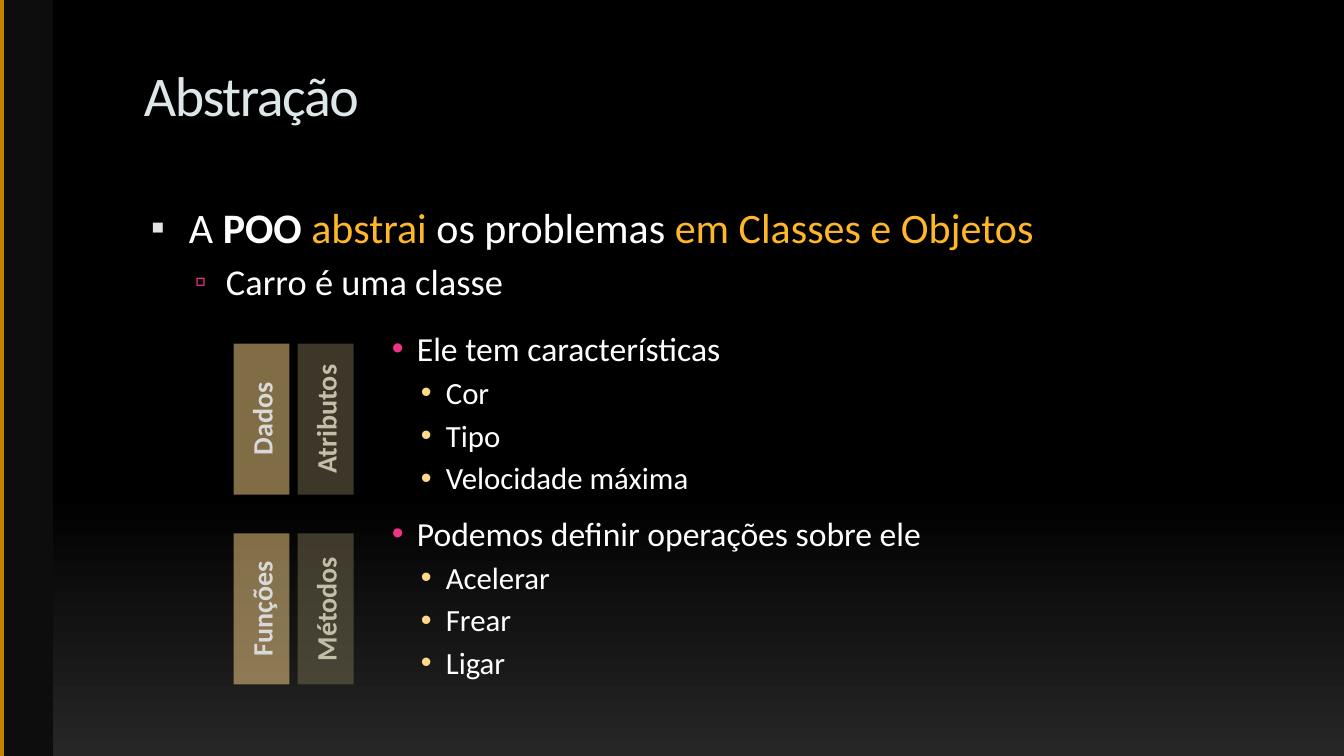
from dataclasses import dataclass

from lxml.etree import SubElement
from pptx import Presentation
from pptx.dml.color import RGBColor
from pptx.enum.shapes import MSO_CONNECTOR, MSO_SHAPE
from pptx.enum.text import MSO_ANCHOR, PP_ALIGN
from pptx.oxml.ns import qn
from pptx.util import Pt

WIDTH, HEIGHT = 1344, 756
SCALE = 12192000 / WIDTH


@dataclass(frozen=True)
class Theme:
    """Colours, font and type sizes of the slide."""
    font: str = "Calibri"
    black: str = "000000"
    glow: str = "262626"
    strip: str = "0D0D0D"
    edge: str = "C58300"
    title: str = "DDE6E8"
    text: str = "FFFFFF"
    accent: str = "FFB728"
    square: str = "E0E4E5"
    pink: str = "F03288"
    sand: str = "FFD88B"
    olive: str = "786F51"
    sand_text: str = "D9D9D9"
    olive_text: str = "C4BEA9"
    title_size: int = 40
    lead_size: int = 30
    class_size: int = 26
    topic_size: int = 24
    item_size: int = 22
    label_size: int = 20


@dataclass(frozen=True)
class Bullet:
    """Level, left margin, hanging indent, sign and spacing of a list line."""
    level: int
    margin: int
    hang: int
    sign: str
    color: str
    percent: int
    size: int
    before: int


def emu(px):
    """Turn px into EMU."""
    return round(px * SCALE)


class SlideBuilder:
    """Draws styled elements on the current slide."""

    def __init__(self, page, theme):
        """Keep the slide and its style."""
        self.page, self.theme = page, theme

    def background(self):
        """Fill the slide with a gradient that lightens at the foot."""
        fill = self.page.background.fill
        fill.gradient()
        fill.gradient_angle = 270
        shades = ((0.65, self.theme.black), (1.0, self.theme.glow))
        for stop, (position, color) in zip(fill.gradient_stops, shades):
            stop.position = position
            stop.color.rgb = RGBColor.from_string(color)

    def block(self, kind, left, top, width, height, color):
        """Add a filled shape without outline."""
        shape = self.page.shapes.add_shape(kind, *map(emu, (left, top, width, height)))
        shape.shadow.inherit = False
        shape.fill.solid()
        shape.fill.fore_color.rgb = RGBColor.from_string(color)
        shape.line.fill.background()
        return shape

    def rule(self, start, end, color, weight):
        """Add a straight line."""
        line = self.page.shapes.add_connector(
            MSO_CONNECTOR.STRAIGHT, *map(emu, (*start, *end)))
        line.line.color.rgb = RGBColor.from_string(color)
        line.line.width = Pt(weight)
        SubElement(line._element.spPr, qn("a:effectLst"))

    def style(self, para, size, color, bold=False):
        """Set the font of a whole paragraph."""
        para.font.name = self.theme.font
        para.font.size = Pt(size)
        para.font.bold = bold
        para.font.color.rgb = RGBColor.from_string(color)

    def text_box(self, left, top, width, height):
        """Add a wrapping text box and return its frame."""
        box = self.page.shapes.add_textbox(*map(emu, (left, top, width, height)))
        box.text_frame.word_wrap = True
        return box.text_frame

    def title(self, text, left, top, width, height):
        """Add the slide title with tightened letters."""
        para = self.text_box(left, top, width, height).paragraphs[0]
        self.style(para, self.theme.title_size, self.theme.title)
        span = para.add_run()
        span.text = text
        span._r.get_or_add_rPr().set("spc", "-100")

    def bullets(self, lines, left, top, width, height):
        """Add a list of (bullet, spans); a span is text, colour and weight."""
        frame = self.text_box(left, top, width, height)
        for index, (bullet, spans) in enumerate(lines):
            para = frame.add_paragraph() if index else frame.paragraphs[0]
            para.level = bullet.level
            para.space_before = Pt(bullet.before)
            self.mark(para, bullet)
            self.style(para, bullet.size, self.theme.text)
            for text, color, bold in spans:
                span = para.add_run()
                span.text = text
                if color != self.theme.text:
                    span.font.color.rgb = RGBColor.from_string(color)
                if bold:
                    span.font.bold = True

    def mark(self, para, bullet):
        """Give a paragraph its bullet and hanging indent."""
        props = para._p.get_or_add_pPr()
        props.set("marL", str(emu(bullet.margin)))
        props.set("indent", str(-emu(bullet.hang)))
        SubElement(SubElement(props, qn("a:buClr")), qn("a:srgbClr"), val=bullet.color)
        SubElement(props, qn("a:buSzPct"), val=str(bullet.percent * 1000))
        SubElement(props, qn("a:buFont"), typeface="Arial")
        SubElement(props, qn("a:buChar"), char=bullet.sign)

    def label(self, text, left, top, width, height, fill, color):
        """Add a half transparent label that reads upwards."""
        shape = self.block(MSO_SHAPE.ROUNDED_RECTANGLE, left, top, width, height, fill)
        shape.adjustments[0] = 0
        shape.rotation = 270
        tint = shape._element.spPr.find(".//" + qn("a:srgbClr"))
        SubElement(tint, qn("a:alpha"), val="50000")
        shape.text_frame.vertical_anchor = MSO_ANCHOR.MIDDLE
        para = shape.text_frame.paragraphs[0]
        para.text = text
        para.alignment = PP_ALIGN.CENTER
        self.style(para, self.theme.label_size, color, True)


def main():
    """Build the slide and save it."""
    deck = Presentation()
    deck.slide_width, deck.slide_height = emu(WIDTH), emu(HEIGHT)
    theme = Theme()
    slide = SlideBuilder(deck.slides.add_slide(deck.slide_layouts[6]), theme)
    slide.background()
    slide.block(MSO_SHAPE.RECTANGLE, 0, 0, 53, HEIGHT, theme.strip)
    slide.rule((2, 0), (2, HEIGHT), theme.edge, 3)

    lead = Bullet(0, 45, 38, "▪", theme.square, 95, theme.lead_size, 7)
    example = Bullet(1, 82, 31, "▫", theme.pink, 90, theme.class_size, 5)
    slide.bullets([
        (lead, [("A ", theme.text, False), ("POO ", theme.text, True),
                ("abstrai ", theme.accent, False),
                ("os problemas ", theme.text, False),
                ("em Classes e Objetos", theme.accent, False)]),
        (example, [("Carro é uma classe", theme.text, False)]),
    ], 134, 197, 1142, 504)

    item = Bullet(3, 139, 25, "•", theme.sand, 100, theme.item_size, 4)
    topics = {
        "Ele tem características": (5, ("Cor", "Tipo", "Velocidade máxima")),
        "Podemos definir operações sobre ele": (12, ("Acelerar", "Frear", "Ligar")),
    }
    lines = []
    for topic, (before, items) in topics.items():
        head = Bullet(2, 110, 25, "•", theme.pink, 100, theme.topic_size, before)
        lines.append((head, [(topic, theme.text, False)]))
        lines += [(item, [(text, theme.text, False)]) for text in items]
    slide.bullets(lines, 297, 323, 793, 397)

    slide.title("Abstração", 134, 56, 959, 101)

    columns = ((("Dados", "Funções"), theme.sand, theme.sand_text),
               (("Atributos", "Métodos"), theme.olive, theme.olive_text))
    for column, (names, fill, color) in enumerate(columns):
        for row, name in enumerate(names):
            slide.label(name, 186 + 64 * column, 391 + 190 * row, 151, 56, fill, color)

    deck.save("out.pptx")


if __name__ == "__main__":
    main()
